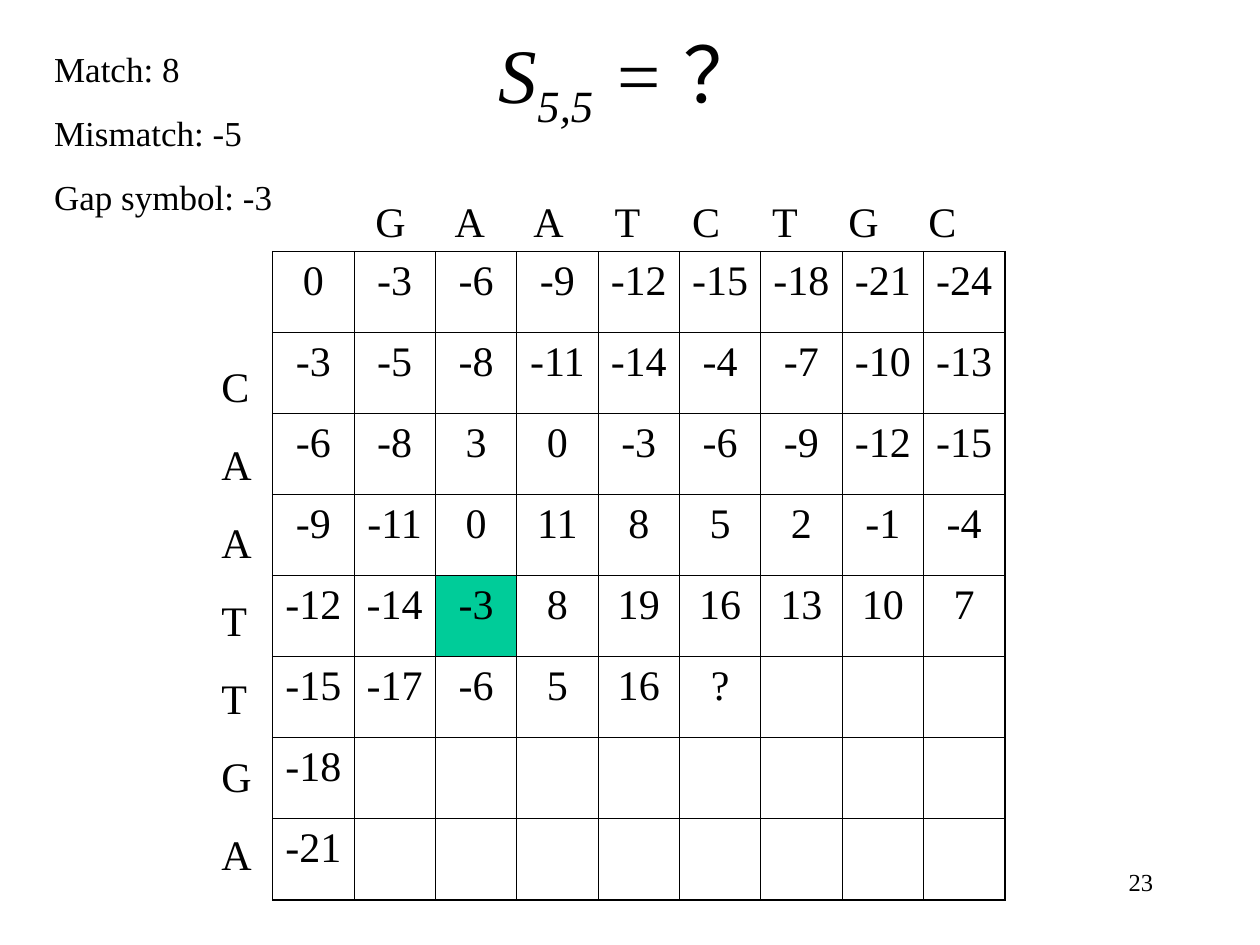
from lxml import etree
from pptx import Presentation
from pptx.dml.color import RGBColor
from pptx.enum.text import MSO_ANCHOR, PP_ALIGN
from pptx.oxml.ns import qn
from pptx.util import Pt

BLACK = RGBColor(0x00, 0x00, 0x00)
GREEN = RGBColor(0x00, 0xCC, 0x99)
FONT = "Times New Roman"
CENTER, RIGHT = PP_ALIGN.CENTER, PP_ALIGN.RIGHT
MIDDLE = MSO_ANCHOR.MIDDLE

SCORES = [
    [0, -3, -6, -9, -12, -15, -18, -21, -24],
    [-3, -5, -8, -11, -14, -4, -7, -10, -13],
    [-6, -8, 3, 0, -3, -6, -9, -12, -15],
    [-9, -11, 0, 11, 8, 5, 2, -1, -4],
    [-12, -14, -3, 8, 19, 16, 13, 10, 7],
    [-15, -17, -6, 5, 16, "?"],
    [-18],
    [-21],
]
ROWS, COLS = len(SCORES), len(SCORES[0])
COL_W, ROW_H = 46.5, 46.3
HIGHLIGHT = (4, 2)
THIN, THICK = 0.45, 1.08

prs = Presentation()
prs.slide_width, prs.slide_height = Pt(720), Pt(540)
s = prs.slides.add_slide(prs.slide_layouts[6])


def add_box(x, y, w, h):
    tf = s.shapes.add_textbox(Pt(x), Pt(y), Pt(w), Pt(h)).text_frame
    tf.word_wrap = True
    return tf


def add_run(p, text, size, italic=False):
    r = p.add_run()
    r.text = text
    r.font.name, r.font.size, r.font.italic = FONT, Pt(size), italic
    r.font.color.rgb = BLACK
    return r


# Slide number
p = add_box(516.2, 491.8, 149.8, 36).paragraphs[0]
p.alignment = RIGHT
add_run(p, "23", 14)

# Title with subscript
tf = add_box(54, 0, 612, 90)
tf.vertical_anchor = MIDDLE
p = tf.paragraphs[0]
p.alignment = CENTER
add_run(p, "S", 44, True)
add_run(p, "5,5", 44, True).font._element.set("baseline", "-25000")
add_run(p, " = ", 44, True)
add_run(p, "？", 44)

# Score matrix
table = s.shapes.add_table(ROWS, COLS, Pt(155.8), Pt(143.8),
                           Pt(COL_W * COLS), Pt(ROW_H * ROWS)).table
table.first_row = table.horz_banding = False
for col in table.columns:
    col.width = Pt(COL_W)
for i, row in enumerate(table.rows):
    row.height = Pt(ROW_H)
    for j, cell in enumerate(row.cells):
        # Thick lines on the outside, thin ones inside
        tcPr = cell._tc.get_or_add_tcPr()
        edges = {"L": j == 0, "R": j == COLS - 1, "T": i == 0, "B": i == ROWS - 1}
        for side, outer in edges.items():
            ln = etree.SubElement(tcPr, qn(f"a:ln{side}"),
                                  w=str(Pt(THICK if outer else THIN)))
            fill = etree.SubElement(ln, qn("a:solidFill"))
            etree.SubElement(fill, qn("a:srgbClr"), val=str(BLACK))
        if (i, j) == HIGHLIGHT:
            cell.fill.solid()
            cell.fill.fore_color.rgb = GREEN
        else:
            cell.fill.background()
        if j < len(SCORES[i]):
            p = cell.text_frame.paragraphs[0]
            p.alignment = CENTER
            p.space_before = Pt(6)
            add_run(p, str(SCORES[i][j]), 24)

# Sequence above the columns, spaced by centred tab stops
p = add_box(207.4, 108, 451.4, 36).paragraphs[0]
add_run(p, "\t".join("GAATCTGC"), 24)
tabs = etree.SubElement(p._p.get_or_add_pPr(), qn("a:tabLst"))
for i in range(7):
    etree.SubElement(tabs, qn("a:tab"), pos=str(Pt(54 + 45 * i)), algn="ctr")

# Sequence beside the rows
p = add_box(119.5, 186.5, 40.3, 319.7).paragraphs[0]
p.line_spacing = 1.55
p.space_before = Pt(15)
for i, letter in enumerate("CAATTGA"):
    if i:
        p.add_line_break()
    add_run(p, letter, 24)

# Scoring rules
tf = add_box(23.8, 23.8, 149.8, 104.4)
for i, rule in enumerate(["Match: 8", "Mismatch: -5", "Gap symbol: -3"]):
    p = tf.add_paragraph() if i else tf.paragraphs[0]
    p.space_before = Pt(12.5)
    add_run(p, rule, 20)

prs.save("out.pptx")
